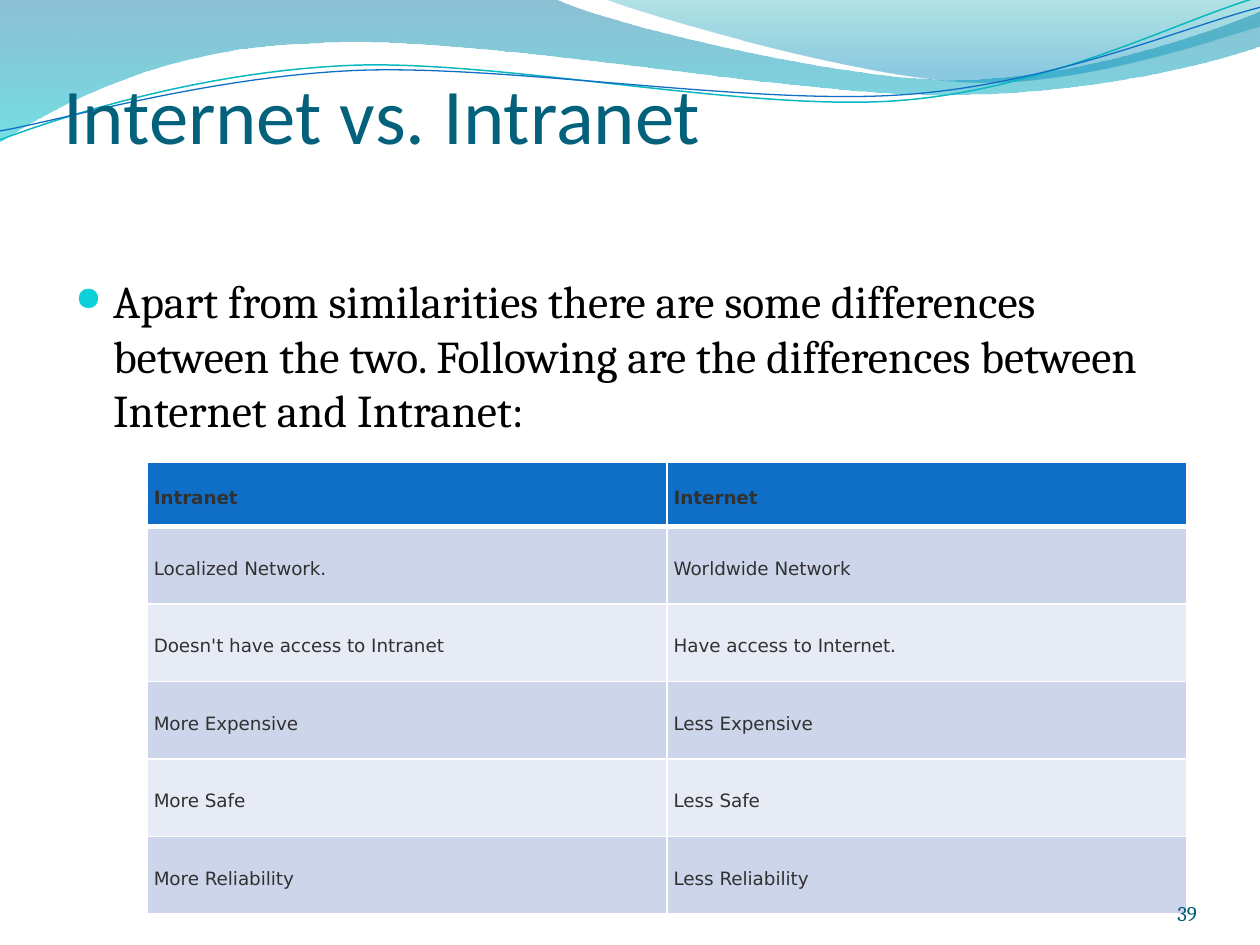
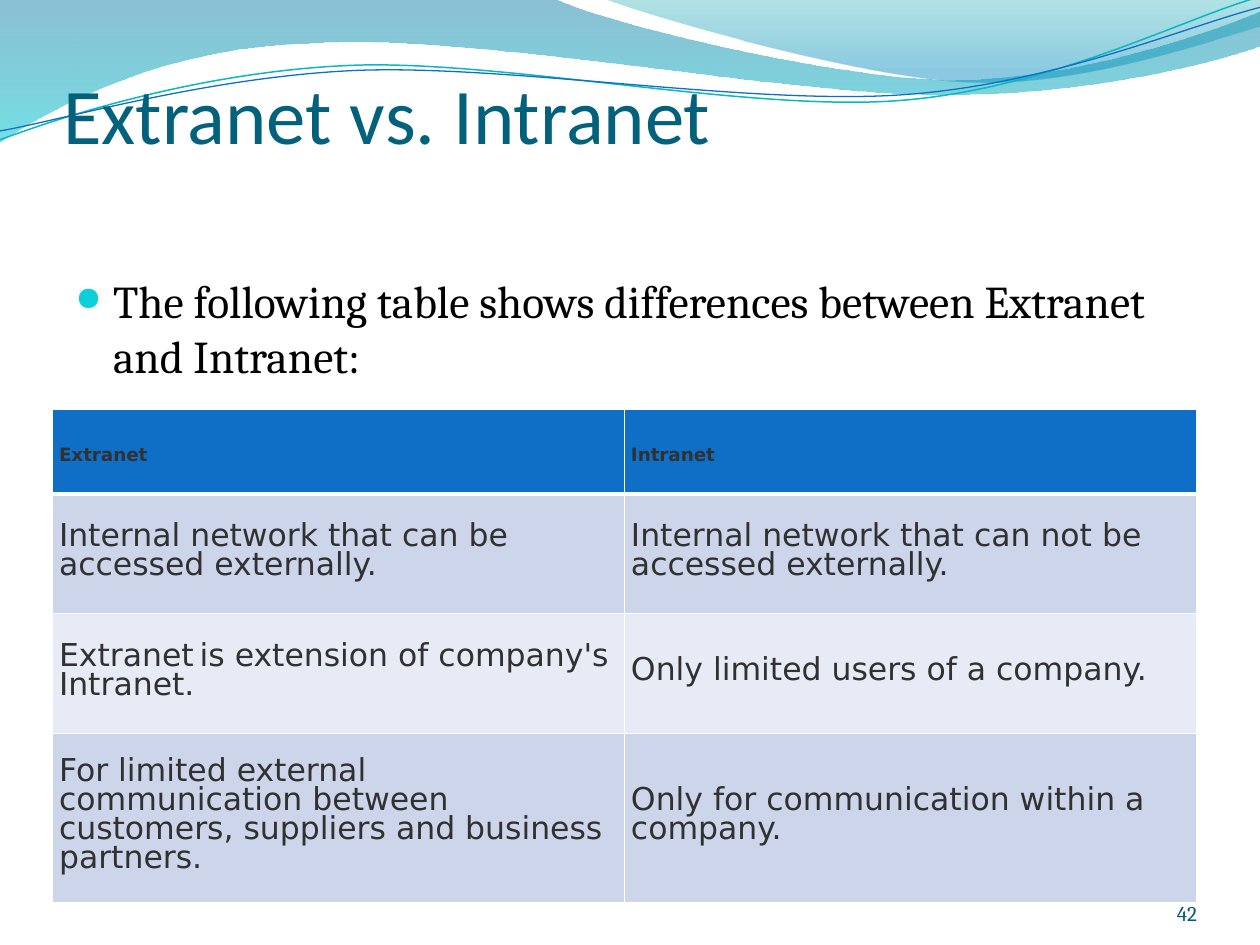
import pptx
import pptx.dml.color
import pptx.enum.text
import pptx.oxml.ns
import pptx.util
from lxml import etree

Cm = pptx.util.Cm
Pt = pptx.util.Pt
qn = pptx.oxml.ns.qn
Anchor = pptx.enum.text.MSO_ANCHOR
Align = pptx.enum.text.PP_ALIGN

COLORS = {
    "title": "04617B", "body": "000000", "bullet": "0BD0D9", "number": "045D75",
    "header": "0F6FC6", "band_dark": "CCD5EA", "band_light": "E7EBF5",
    "cell_text": "313131", "border": "FFFFFF",
    "wave_top": "0074A1", "wave_bottom": "00C6CF",
    "crest_top": "00A1A9", "crest_bottom": "008BBF",
    "teal_line": "0AB8BF", "blue_line": "0F6FC6",
}

# Header outlines in cm: one point is a straight step, three are a curve
WAVE = [
    [(0, 0)], [(11.18, -0.03)],
    [(12.09, 0.43), (16.87, 1.6), (19.25, 1.6)],
    [(21.67, 1.6), (24.33, 0.66), (25.4, 0.23)], [(25.43, 0.91)],
    [(24.97, 1.12), (22.1, 1.93), (18.95, 1.91)],
    [(15.8, 1.91), (9.7, 0.71), (6.53, 0.86)],
    [(3.28, 0.91), (1.17, 2.11), (-0.03, 2.87)], [(0, 0)],
]
CREST = [
    [(12.17, -0.03)],
    [(12.93, 0.28), (17.32, 1.57), (19.53, 1.65)],
    [(21.74, 1.75), (24.41, 0.81), (25.4, 0.53)], [(25.4, 0)], [(12.17, -0.03)],
]
TEAL_LINE = [
    [(0, 2.82)],
    [(1.22, 2.36), (4.01, 1.45), (7.04, 1.32)],
    [(10.03, 1.19), (15.06, 2.26), (18.11, 2.03)],
    [(21.16, 1.8), (23.83, 0.38), (25.35, -0.05)],
]
BLUE_LINE = [
    [(0, 2.64)],
    [(1.19, 2.44), (4.17, 1.55), (7.19, 1.42)],
    [(10.24, 1.3), (15.16, 2.13), (18.21, 1.91)],
    [(21.23, 1.7), (23.9, 0.53), (25.4, 0.15)],
]


def rgb(key):
    return pptx.dml.color.RGBColor.from_string(COLORS[key])


def apply_format(target, values):
    for attribute, value in values.items():
        setattr(target, attribute, value)


def add_run(paragraph, text, color, **font_values):
    run = paragraph.add_run()
    run.text = text
    apply_format(run.font, font_values)
    run.font.color.rgb = rgb(color)


# Shared header waves
def add_outline(slide, outline, close):
    start, *rest = [(Cm(x), Cm(y)) for segment in outline for x, y in segment]
    builder = slide.shapes.build_freeform(*start)
    builder.add_line_segments(rest, close=close)
    shape = builder.convert_to_shape()
    shape.shadow.inherit = False
    # Join each group of three steps into one Bézier curve
    steps = iter(list(shape.element.iter(qn("a:lnTo"))))
    for segment in outline[1:]:
        group = [next(steps) for _ in segment]
        if len(group) == 3:
            curve = etree.Element(qn("a:cubicBezTo"))
            group[0].addprevious(curve)
            for step in group:
                curve.append(step[0])
                step.getparent().remove(step)
    return shape


def add_wave(slide, outline, stops):
    wave = add_outline(slide, outline, True)
    wave.line.fill.background()
    wave.fill.gradient()
    wave.fill.gradient_angle = 270
    for stop, (color, position, _) in zip(wave.fill.gradient_stops, stops):
        stop.color.rgb = rgb(color)
        stop.position = position
    colors = wave.element.iterfind(".//" + qn("a:gs") + "/" + qn("a:srgbClr"))
    for node, (_, _, opacity) in zip(colors, stops):
        etree.SubElement(node, qn("a:alpha"), val=str(opacity * 1000))
    return wave


def add_wave_line(slide, outline, color, width):
    curve = add_outline(slide, outline, False)
    curve.fill.background()
    curve.line.color.rgb = rgb(color)
    curve.line.width = Pt(width)
    return curve


def decorate_layout(slide):
    """Draw the header on the slide, then move it to the shared layout."""
    header = [
        add_wave(slide, WAVE, [("wave_top", 0, 45), ("wave_bottom", 1, 55)]),
        add_wave(slide, CREST, [("crest_top", 0, 30), ("crest_bottom", 0.8, 45)]),
        add_wave_line(slide, TEAL_LINE, "teal_line", 0.85),
        add_wave_line(slide, BLUE_LINE, "blue_line", 0.75),
    ]
    tree = slide.slide_layout.shapes.element
    for index, part in enumerate(header):
        part.element.find(".//" + qn("p:cNvPr")).set("id", str(101 + index))
        tree.insert(2 + index, part.element)


# Text
def set_title(slide, text):
    title = slide.shapes.title
    apply_format(title, {"left": Cm(1.27), "top": Cm(1.96),
                         "width": Cm(22.86), "height": Cm(3.17)})
    apply_format(title.text_frame, {
        "auto_size": pptx.enum.text.MSO_AUTO_SIZE.NONE, "vertical_anchor": Anchor.BOTTOM,
        "margin_left": 0, "margin_right": 0, "margin_top": Cm(0.13), "margin_bottom": Cm(1.9)})
    paragraph = title.text_frame.paragraphs[0]
    paragraph.alignment = Align.LEFT
    add_run(paragraph, text, "title", name="Calibri", size=Pt(45))


def add_intro(slide, text):
    intro = slide.shapes.add_textbox(Cm(1.27), Cm(5.38), Cm(22.86), Cm(12.19))
    intro.text_frame.word_wrap = True
    paragraph = intro.text_frame.paragraphs[0]
    paragraph.space_before = Pt(5.2)
    add_run(paragraph, text, "body", name="Cambria", size=Pt(26))
    # Bullet
    properties = intro.element.find(".//" + qn("a:pPr"))
    properties.set("marL", str(Cm(0.76)))
    properties.set("indent", str(-Cm(0.76)))
    bullet_color = etree.SubElement(properties, qn("a:buClr"))
    etree.SubElement(bullet_color, qn("a:srgbClr"), val=COLORS["bullet"])
    etree.SubElement(properties, qn("a:buSzPct"), val="73000")
    etree.SubElement(properties, qn("a:buChar"), char="●")


def add_page_number(slide, number):
    page = slide.shapes.add_textbox(Cm(22.02), Cm(17.65), Cm(2.11), Cm(1.02))
    apply_format(page.text_frame, {
        "word_wrap": True, "vertical_anchor": Anchor.BOTTOM, "margin_left": 0,
        "margin_right": 0, "margin_top": 0, "margin_bottom": 0})
    paragraph = page.text_frame.paragraphs[0]
    paragraph.alignment = Align.RIGHT
    add_run(paragraph, str(number), "number", name="Cambria", size=Pt(12))


# Comparison table
def fill_cell(cell, content, row, size):
    band = "header" if row == 0 else "band_dark" if row % 2 else "band_light"
    cell.fill.solid()
    cell.fill.fore_color.rgb = rgb(band)
    apply_format(cell, {"vertical_anchor": Anchor.MIDDLE, "margin_left": Cm(0.13),
                        "margin_right": Cm(0.13), "margin_top": Cm(0.13),
                        "margin_bottom": Cm(0.13)})
    paragraph = cell.text_frame.paragraphs[0]
    apply_format(paragraph, {"line_spacing": Pt(16.5), "space_before": Pt(6),
                             "space_after": Pt(6)})
    pieces = [(content, size)] if isinstance(content, str) else content
    for text, points in pieces:
        add_run(paragraph, text, "cell_text", name="DejaVu Sans", size=Pt(points),
                bold=row == 0)


def add_borders(cell_properties, row):
    for index, side in enumerate(("lnL", "lnR", "lnT", "lnB")):
        under_header = (row, side) in ((0, "lnB"), (1, "lnT"))
        border = etree.Element(qn("a:" + side), w=str(Pt(3 if under_header else 1)))
        fill = etree.SubElement(border, qn("a:solidFill"))
        etree.SubElement(fill, qn("a:srgbClr"), val=COLORS["border"])
        cell_properties.insert(index, border)


def add_comparison(slide, rows, left, top, column_width, heights, body_size):
    columns = len(rows[0])
    frame = slide.shapes.add_table(len(rows), columns, Cm(left), Cm(top),
                                   Cm(column_width * columns), Cm(sum(heights)))
    table = frame.table
    for column in table.columns:
        column.width = Cm(column_width)
    for r, (contents, height) in enumerate(zip(rows, heights)):
        table.rows[r].height = Cm(height)
        for c, content in enumerate(contents):
            fill_cell(table.cell(r, c), content, r, body_size if r else 10.5)
    for index, cell_properties in enumerate(frame.element.iter(qn("a:tcPr"))):
        add_borders(cell_properties, index // columns)


SLIDES = [
    {
        "title": "Internet vs. Intranet",
        "intro": "Apart from similarities there are some differences between the two. "
                 "Following are the differences between Internet and Intranet:",
        "number": 39,
        "comparison": {
            "left": 2.97, "top": 9.32, "column_width": 10.48,
            "heights": [1.3] + [1.56] * 5, "body_size": 10.5,
            "rows": [
                ("Intranet", "Internet"),
                ("Localized Network.", "Worldwide Network"),
                ("Doesn't have access to Intranet", "Have access to Internet."),
                ("More Expensive", "Less Expensive"),
                ("More Safe", "Less Safe"),
                ("More Reliability", "Less Reliability"),
            ],
        },
    },
    {
        "title": "Extranet vs. Intranet",
        "intro": "The following table shows differences between Extranet and Intranet:",
        "number": 42,
        "comparison": {
            "left": 1.06, "top": 8.26, "column_width": 11.53,
            "heights": [1.7, 2.41, 2.42, 3.4], "body_size": 18,
            "rows": [
                ("Extranet", "Intranet"),
                ("Internal network that can be accessed externally.",
                 "Internal network that can not be accessed externally."),
                ([("Extranet", 18), (" ", 10.5), ("is extension of company's Intranet.", 18)],
                 "Only limited users of a company."),
                ("For limited external communication between customers, suppliers "
                 "and business partners.",
                 "Only for communication within a company."),
            ],
        },
    },
]


def main():
    deck = pptx.Presentation()
    deck.slide_width, deck.slide_height = Cm(25.4), Cm(19.05)
    title_only = deck.slide_layouts[5]
    for index, content in enumerate(SLIDES):
        slide = deck.slides.add_slide(title_only)
        if index == 0:
            decorate_layout(slide)
        set_title(slide, content["title"])
        add_intro(slide, content["intro"])
        add_comparison(slide, **content["comparison"])
        add_page_number(slide, content["number"])
    deck.save("out.pptx")


if __name__ == "__main__":
    main()
